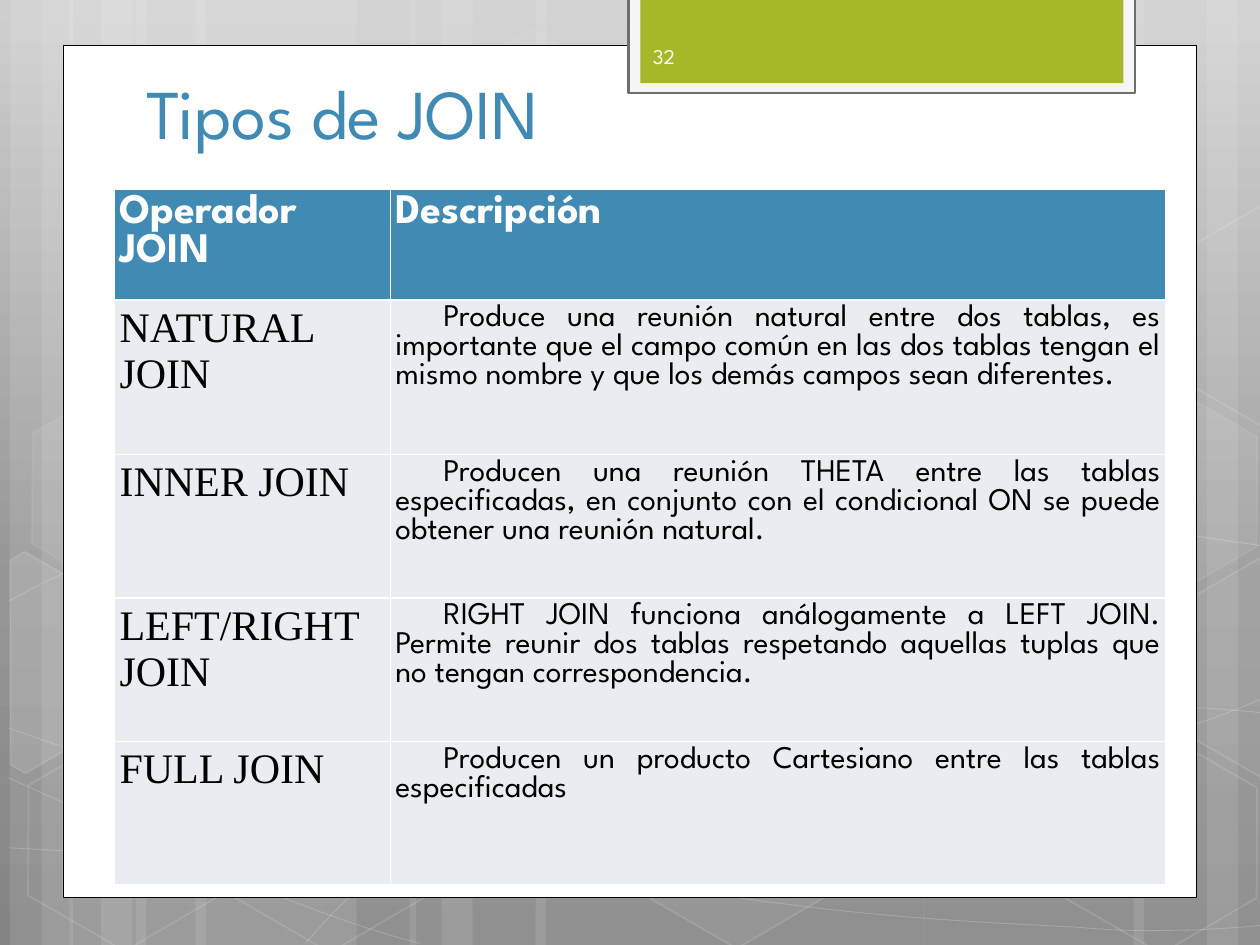
from copy import deepcopy
from dataclasses import dataclass
from typing import NamedTuple

from lxml.etree import SubElement
from pptx import Presentation
from pptx.dml.color import RGBColor
from pptx.enum.shapes import MSO_SHAPE as Shape
from pptx.enum.text import MSO_ANCHOR as Anchor, PP_ALIGN as Align
from pptx.oxml.ns import qn
from pptx.util import Cm, Pt


@dataclass(frozen=True)
class Theme:
    """Colours, fonts and type sizes of the slide."""
    white: str = "FFFFFF"
    black: str = "000000"
    blue: str = "418AB3"
    green: str = "A6B727"
    frame: str = "F5F5F5"
    frame_line: str = "6E6E6E"
    cell: str = "E9EDF2"
    number: str = "FEFEFE"
    sky: tuple = ((0, "CFCFCF"), (0.62, "969696"), (1, "848484"))
    sans: str = "League Spartan"
    serif: str = "Times New Roman"
    title_size: int = 40
    head_size: int = 24
    body_size: int = 18
    number_size: int = 12


class Box(NamedTuple):
    """A region in centimetres."""
    x: float
    y: float
    w: float
    h: float


T = Theme()
BARS = [(0.2, 1, 4.45), (1.4, 1, 4.45), (25.6, -1, 4.45), (8.26, 1, 7.82)]
CURVES = [
    [(0.18, 17.09), (1.55, 17.17), (2.92, 17.25), (4.83, 17.22), (6.73, 17.2),
     (9.09, 17.15), (11.63, 16.89), (14.17, 16.64), (17.78, 16.15), (20.12, 15.67),
     (22.43, 15.19), (24.82, 14.43), (25.58, 14)],
    [(0.18, 12.12), (0.91, 11.71), (1.65, 11.33), (3.07, 10.95), (4.52, 10.52),
     (6.58, 10.01), (8.81, 9.83), (11.07, 9.65), (13.82, 9.63), (16.61, 9.83),
     (19.41, 10.03), (24.05, 10.82), (25.58, 11.02)],
    [(0.15, 15.67), (3.23, 17.07), (6.27, 18.47), (8.48, 19.02)],
    [(0.18, 14.68), (0.97, 14.96), (1.78, 15.24), (3.25, 15.65), (4.72, 16.03),
     (6.93, 16.66), (9.07, 17.09), (11.18, 17.53), (13.84, 17.98), (15.95, 18.24),
     (18.06, 18.52), (20.32, 18.62), (21.67, 18.69), (22.99, 18.8), (23.34, 18.75),
     (24, 18.75), (24.66, 18.72), (25.12, 18.69), (25.58, 18.64)],
    [(6.15, 19.02), (6.6, 18.52), (7.06, 18.01), (7.67, 17.55), (8.28, 17.09),
     (9.14, 16.59), (9.86, 16.23), (10.57, 15.88), (11, 15.72), (11.94, 15.47),
     (12.85, 15.21), (14.55, 14.86), (15.44, 14.68), (16.36, 14.5), (16.48, 14.5),
     (17.27, 14.45), (18.06, 14.38), (19.3, 14.3), (20.17, 14.27), (21.06, 14.25),
     (22.5, 14.27), (22.5, 14.27), (23, 14.27), (23.6, 14.27), (24.21, 14.27),
     (24.66, 14.3), (25.1, 14.33), (25.55, 14.38)],
]
HEXAGONS = [(8.48, 0.91, 4, 8), (12.62, 14.96, 6, 12), (0.28, 15.01, 0, 12),
            (0.36, 7.92, 7, 8), (4.42, 15.04, 0, 12), (19.13, 11.51, 10, 12),
            (21.18, 15.06, 0, 12), (21.18, 7.98, 7, 8)]
LEFT_CUT = [(0, 0.3), (0.15, 0), (2.39, 0), (3.5, 1.95), (2.41, 3.86), (2.06, 3.86)]
RIGHT_CUT = [(0, 1.92), (1.1, 0), (1.31, 0), (3.45, 3.68), (3.34, 3.86), (1.11, 3.86)]
CUT_HEXAGONS = [(-0.84, 11.66, LEFT_CUT, 10), (23.29, 11.28, RIGHT_CUT, 4), (23.29, 4.19, RIGHT_CUT, 0)]
HEADS = ("Operador JOIN", "Descripción")
JOINS = [
    ("NATURAL JOIN", "Produce una reunión natural entre dos tablas, es importante que el campo común "
     "en las dos tablas tengan el mismo nombre y que los demás campos sean diferentes."),
    ("INNER JOIN", "Producen una reunión THETA entre las tablas especificadas, en conjunto con el "
     "condicional ON se puede obtener una reunión natural."),
    ("LEFT/RIGHT JOIN", "RIGHT JOIN funciona análogamente a LEFT JOIN. Permite reunir dos tablas "
     "respetando aquellas tuplas que no tengan correspondencia."),
    ("FULL JOIN", "Producen un producto Cartesiano entre las tablas especificadas"),
]


def rgb(code):
    """Turn a hex code into a colour."""
    return RGBColor.from_string(code)


def style(sp, fill=None, line=None, width=1, fill_alpha=100, line_alpha=100):
    """Set fill, line and opacity of a shape without shadow."""
    sp.shadow.inherit = False
    for part, color, alpha in ((sp.fill, fill, fill_alpha), (sp.line.fill, line, line_alpha)):
        if color is None or alpha == 0:
            part.background()
            continue
        part.solid()
        part.fore_color.rgb = rgb(color)
        owner = sp.element.spPr if part is sp.fill else sp.element.spPr.find(qn("a:ln"))
        if alpha < 100:
            clr = owner.find(qn("a:solidFill")).find(qn("a:srgbClr"))
            SubElement(clr, qn("a:alpha"), val=str(alpha * 1000))
    if line:
        sp.line.width = Pt(width)


def add_shape(slide, box, kind=Shape.RECTANGLE, **look):
    """Add a styled preset shape."""
    sp = slide.shapes.add_shape(kind, *map(Cm, box))
    style(sp, **look)
    return sp


def add_outline(slide, x, y, points, close, **look):
    """Add a styled outline with its points relative to x and y."""
    pts = [(Cm(x + dx), Cm(y + dy)) for dx, dy in points]
    builder = slide.shapes.build_freeform(*pts[0])
    builder.add_line_segments(pts[1:], close=close)
    sp = builder.convert_to_shape()
    style(sp, **look)
    return sp


def bend(sp):
    """Turn each three line segments of an outline into one cubic curve."""
    outline = sp.element.find(".//" + qn("a:path"))
    segments = outline.findall(qn("a:lnTo"))
    for i in range(0, len(segments), 3):
        cubic = SubElement(outline, qn("a:cubicBezTo"))
        for segment in segments[i:i + 3]:
            cubic.append(segment[0])
            outline.remove(segment)


def set_font(p, size, color, name=T.sans, bold=False):
    """Set the font of a paragraph."""
    p.font.size, p.font.name, p.font.bold = Pt(size), name, bold
    p.font.color.rgb = rgb(color)


def add_text(slide, box, text, size, color, anchor):
    """Add a one-paragraph text box."""
    tf = slide.shapes.add_textbox(*map(Cm, box)).text_frame
    tf.word_wrap, tf.vertical_anchor = True, anchor
    tf.text = text
    set_font(tf.paragraphs[0], size, color)


def add_backdrop(slide, box):
    """Draw the gradient, light bars, curves and hexagons."""
    fill = slide.background.fill
    fill.gradient()
    fill.gradient_angle = 270
    stops = slide.element.find(".//" + qn("a:gsLst"))
    stops.append(deepcopy(stops[-1]))
    for stop, (position, color) in zip(fill.gradient_stops, T.sky):
        stop.position, stop.color.rgb = position, rgb(color)
    for start, direction, wide in BARS:
        for offset, w in ((2.54, wide), (0, 1.27), (0.64, 2.11)):
            x = start + offset if direction > 0 else start - offset - w
            sp = add_shape(slide, Box(box.x + x, box.y, w, box.h), fill=T.white, fill_alpha=10)
            sp.rotation = 0 if direction > 0 else 180
    for curve in CURVES:
        bend(add_outline(slide, box.x, box.y, curve, False, line=T.white, width=0.5, line_alpha=20))
    for x, y, inside, edge in HEXAGONS:
        sp = add_shape(slide, Box(box.x + x, box.y + y, 4.45, 3.86), Shape.HEXAGON,
                       fill=T.white, fill_alpha=inside, line=T.white, line_alpha=edge)
        sp.adjustments[0], sp.adjustments[1] = 0.285, 1.155
        sp.rotation = 30
    for x, y, points, inside in CUT_HEXAGONS:
        sp = add_outline(slide, box.x + x, box.y + y, points, True,
                         fill=T.white, fill_alpha=inside, line=T.white, line_alpha=12)
        sp.rotation = 30


def add_tab(slide, box, number):
    """Draw the framed tab with the slide number."""
    add_shape(slide, box, fill=T.frame, line=T.frame_line, width=1.25)
    inner = Box(box.x + 0.24, box.y, box.w - 0.47, box.h - 0.2)
    add_shape(slide, inner, fill=T.green)
    add_text(slide, Box(inner.x, box.y + 0.67, 3.71, 1.02), number, T.number_size, T.number, Anchor.MIDDLE)


def fill_cell(cell, text, color):
    """Write a cell, give it fill and margins, and return its paragraph."""
    cell.text = text
    cell.margin_left = cell.margin_right = cell.margin_top = cell.margin_bottom = Cm(0.1)
    cell.fill.solid()
    cell.fill.fore_color.rgb = rgb(color)
    return cell.text_frame.paragraphs[0]


def add_join_table(slide, box):
    """Draw the table of join operators."""
    table = slide.shapes.add_table(len(JOINS) + 1, 2, *map(Cm, box)).table
    table.horz_banding = False
    for col, w in zip(table.columns, (5.56, box.w - 5.56)):
        col.width = Cm(w)
    for row, h in zip(table.rows, (2.13, 3.12, 2.89, 2.89, 2.89)):
        row.height = Cm(h)
    for c, head in enumerate(HEADS):
        set_font(fill_cell(table.cell(0, c), head, T.blue), T.head_size, T.white, bold=True)
    for r, (name, description) in enumerate(JOINS, 1):
        set_font(fill_cell(table.cell(r, 0), name, T.cell), T.head_size, T.black, T.serif)
        p = fill_cell(table.cell(r, 1), description, T.cell)
        set_font(p, T.body_size, T.black)
        p.alignment = Align.JUSTIFY
        p._p.get_or_add_pPr().set("indent", str(Cm(0.97)))


def main():
    """Build and save the slide."""
    prs = Presentation()
    prs.slide_width, prs.slide_height = Cm(25.4), Cm(19.05)
    slide = prs.slides.add_slide(prs.slide_layouts[6])
    add_backdrop(slide, Box(0, 0, 25.4, 19.05))
    add_shape(slide, Box(1.27, 0.91, 22.86, 17.19), fill=T.white, line=T.black, width=0.5)
    add_tab(slide, Box(12.67, -0.05, 10.21, 1.93), "32")
    add_text(slide, Box(2.71, 0.05, 19.51, 3.18), "Tipos de JOIN", T.title_size, T.blue, Anchor.BOTTOM)
    add_join_table(slide, Box(2.31, 3.81, 21.19, 13.92))
    prs.save("out.pptx")


if __name__ == "__main__":
    main()
